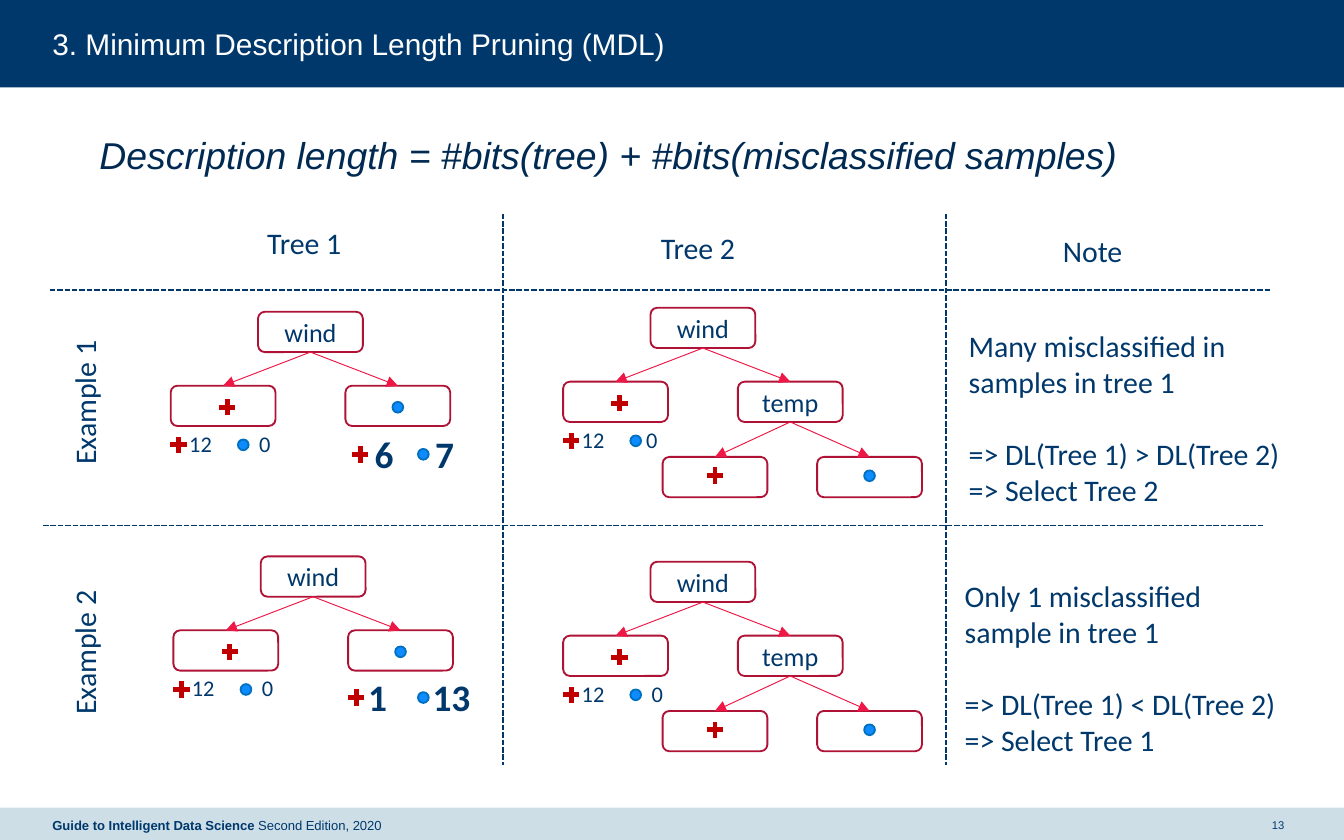
from dataclasses import dataclass

from lxml import etree
from pptx import Presentation
from pptx import util as u
from pptx.dml.color import RGBColor
from pptx.enum import dml, shapes, text
from pptx.oxml import ns


@dataclass(frozen=True)
class Theme:
    """Colours, fonts and type sizes of the slide."""
    navy: str = "00386C"
    ink: str = "002A51"
    pale: str = "CDDEE7"
    white: str = "FFFFFF"
    node: str = "AF1234"
    branch: str = "ED1846"
    plus: str = "C00000"
    dot: str = "0E8BFF"
    dot_edge: str = "0070C0"
    head_font: str = "Arial"
    body_font: str = "Calibri"
    formula: int = 20
    title: int = 16
    label: int = 16
    node_size: int = 14
    count: int = 12
    large_count: int = 20
    footer: int = 7
    number: int = 6


class Board:
    """Draws styled elements on the current slide."""

    def __init__(self, slide, theme):
        self.slide = slide
        self.theme = theme
        self.shapes = slide.shapes

    def start_group(self):
        self.shapes = self.slide.shapes.add_group_shape().shapes

    def end_group(self):
        self.shapes = self.slide.shapes

    def style(self, paragraph, size, color, font, bold=False, italic=False):
        for run in paragraph.runs:
            run.font.size = u.Pt(size)
            run.font.name = font
            run.font.bold = bold
            run.font.italic = italic
            run.font.color.rgb = RGBColor.from_string(color)

    def shape(self, kind, left, top, width, height, fill=None, line=None, weight=1):
        shape = self.shapes.add_shape(kind, *map(u.Inches, (left, top, width, height)))
        shape.shadow.inherit = False
        if fill:
            shape.fill.solid()
            shape.fill.fore_color.rgb = RGBColor.from_string(fill)
        else:
            shape.fill.background()
        if line:
            shape.line.color.rgb = RGBColor.from_string(line)
            shape.line.width = u.Pt(weight)
        else:
            shape.line.fill.background()
        return shape

    def line(self, start, end, color, weight, dashed=False, arrow=False):
        points = map(u.Inches, (*start, *end))
        line = self.shapes.add_connector(shapes.MSO_CONNECTOR.STRAIGHT, *points)
        line.line.color.rgb = RGBColor.from_string(color)
        line.line.width = u.Pt(weight)
        if dashed:
            line.line.dash_style = dml.MSO_LINE.SQUARE_DOT
        if arrow:
            outline = line.line._get_or_add_ln()
            etree.SubElement(outline, ns.qn("a:tailEnd"), type="triangle")
        etree.SubElement(line._element.spPr, ns.qn("a:effectLst"))

    def text(self, content, left, top, width, height, size, color=None, font=None,
             bold=False, italic=False, wrap=False, inset=True, middle=False):
        shape = self.shapes.add_textbox(*map(u.Inches, (left, top, width, height)))
        frame = shape.text_frame
        frame.text = content
        frame.word_wrap = wrap
        if not wrap:
            frame.auto_size = text.MSO_AUTO_SIZE.SHAPE_TO_FIT_TEXT
        if not inset:
            frame.margin_left = frame.margin_right = 0
            frame.margin_top = frame.margin_bottom = 0
        if middle:
            frame.vertical_anchor = text.MSO_ANCHOR.MIDDLE
        for paragraph in frame.paragraphs:
            self.style(paragraph, size, color or self.theme.navy,
                       font or self.theme.body_font, bold, italic)
        return shape

    def heading(self, content, left, top, width, height, size, color, **options):
        return self.text(content, left, top, width, height, size, color,
                         self.theme.head_font, wrap=True, inset=False, **options)

    def node(self, left, top, label=""):
        shape = self.shape(shapes.MSO_SHAPE.ROUNDED_RECTANGLE, left, top,
                           NODE_WIDTH, NODE_HEIGHT, line=self.theme.node)
        if label:
            frame = shape.text_frame
            frame.text = label
            frame.vertical_anchor = text.MSO_ANCHOR.MIDDLE
            frame.paragraphs[0].alignment = text.PP_ALIGN.CENTER
            self.style(frame.paragraphs[0], self.theme.node_size,
                       self.theme.navy, self.theme.body_font)

    def branch(self, start, end):
        self.line(start, end, self.theme.branch, 0.5, arrow=True)

    def plus(self, left, top):
        shape = self.shape(shapes.MSO_SHAPE.MATH_PLUS, left, top, 0.12, 0.12,
                           line=self.theme.plus, weight=2.5)
        shape.adjustments[0] = 0.015
        etree.SubElement(shape.line._get_or_add_ln(), ns.qn("a:miter"), lim="800000")

    def dot(self, left, top):
        self.shape(shapes.MSO_SHAPE.OVAL, left, top, 0.08, 0.08,
                   self.theme.dot, self.theme.dot_edge)

    def counts(self, plus_left, dot_left, top, numbers, size, rise, bold=False):
        self.plus(plus_left, top)
        self.dot(dot_left, top + 0.02)
        for value, left in numbers:
            width = 0.21 + size * len(value) / 130
            self.text(value, left, top - rise, width, size / 60 + 0.1, size, bold=bold)

    def tree(self, left, top, zero_shift, deep):
        center, leaf_top = left + NODE_WIDTH / 2, top + 0.55
        self.node(left, top, "wind")
        for side in (-0.65, 0.65):
            self.node(left + side, leaf_top, "temp" if deep and side > 0 else "")
            self.branch((center, top + NODE_HEIGHT), (center + side, leaf_top))
        self.plus(left - 0.29, leaf_top + 0.1)
        self.counts(left - 0.65, left - 0.15, top + 0.93,
                    (("12", left - 0.61), ("0", left + zero_shift)),
                    self.theme.count, 0.1)
        if not deep:
            self.dot(left + 1, leaf_top + 0.12)
            return
        lower_top = top + 1.11
        for shift in (0.09, 1.24):
            self.node(left + shift, lower_top)
            self.branch((center + 0.65, leaf_top + NODE_HEIGHT),
                        (center + shift, lower_top))
        self.plus(left + 0.42, lower_top + 0.08)
        self.dot(left + 1.59, lower_top + 0.1)

    def note(self, lines, left, top):
        shape = self.text("\n".join(lines), left, top, 2.6, 1.45,
                          self.theme.label, wrap=True)
        shape.text_frame.paragraphs[1].space_before = u.Pt(19.5)


NODE_WIDTH, NODE_HEIGHT = 0.78, 0.3

presentation = Presentation()
presentation.slide_width = u.Inches(10)
presentation.slide_height = u.Inches(6.25)
theme = Theme()
board = Board(presentation.slides.add_slide(presentation.slide_layouts[6]), theme)

for top, height, color in ((0, 0.65, theme.navy), (6.01, 0.26, theme.pale)):
    board.shape(shapes.MSO_SHAPE.RECTANGLE, 0, top, 10, height, color)
board.heading("3. Minimum Description Length Pruning (MDL)",
              0.39, 0.19, 9.22, 0.27, theme.title, theme.white)
board.heading("Description length = #bits(tree) + #bits(misclassified samples)",
              0.74, 0.98, 9.02, 0.5, theme.formula, theme.ink, italic=True)

small_trees = (
    (1.92, 2.32, 2.62, 3.32, (("6", 2.69), ("7", 3.14))),
    (1.94, 4.14, 2.59, 5.13, (("1", 2.64), ("13", 3.12))),
)
for left, top, plus_left, count_top, numbers in small_trees:
    board.start_group()
    board.tree(left, top, -0.09, deep=False)
    board.counts(plus_left, 3.11, count_top, numbers, theme.large_count, 0.16, bold=True)
for top, zero_shift in ((2.29, -0.13), (4.18, -0.09)):
    board.start_group()
    board.tree(4.84, top, zero_shift, deep=True)
board.end_group()

for left, top in ((0.37, 2.16), (0.32, 3.91)):
    board.line((left, top), (left + 9.09, top), theme.navy, 1, dashed=True)
for left in (3.74, 7.04):
    board.line((left, 1.59), (left, 5.69), theme.navy, 1, dashed=True)

for label, left, top, width in (("Tree 1", 1.89, 1.62, 0.76),
                                ("Tree 2", 4.82, 1.66, 0.76),
                                ("Note", 7.81, 1.68, 0.65)):
    board.text(label, left, top, width, 0.37, theme.label)
for label, top in (("Example 1", 2.8), ("Example 2", 4.66)):
    board.text(label, 0.06, top, 1.14, 0.37, theme.label).rotation = 270

board.note(("Many misclassified in samples in tree 1",
            "=> DL(Tree 1) > DL(Tree 2)", "=> Select Tree 2"), 7.11, 2.39)
board.note(("Only 1 misclassified sample in tree 1",
            "=> DL(Tree 1) < DL(Tree 2)", "=> Select Tree 1"), 7.08, 4.25)

footer = board.heading("Guide to Intelligent Data Science ", 0.39, 6.01, 4.39, 0.26,
                       theme.footer, theme.navy, bold=True, middle=True)
edition = footer.text_frame.paragraphs[0].add_run()
edition.text = "Second Edition, 2020"
edition.font.size = u.Pt(theme.footer)
edition.font.name = theme.head_font
edition.font.color.rgb = RGBColor.from_string(theme.navy)
number = board.heading("13", 9.41, 6.01, 0.2, 0.26, theme.number, theme.navy, middle=True)
number.text_frame.paragraphs[0].alignment = text.PP_ALIGN.CENTER

presentation.save("out.pptx")
